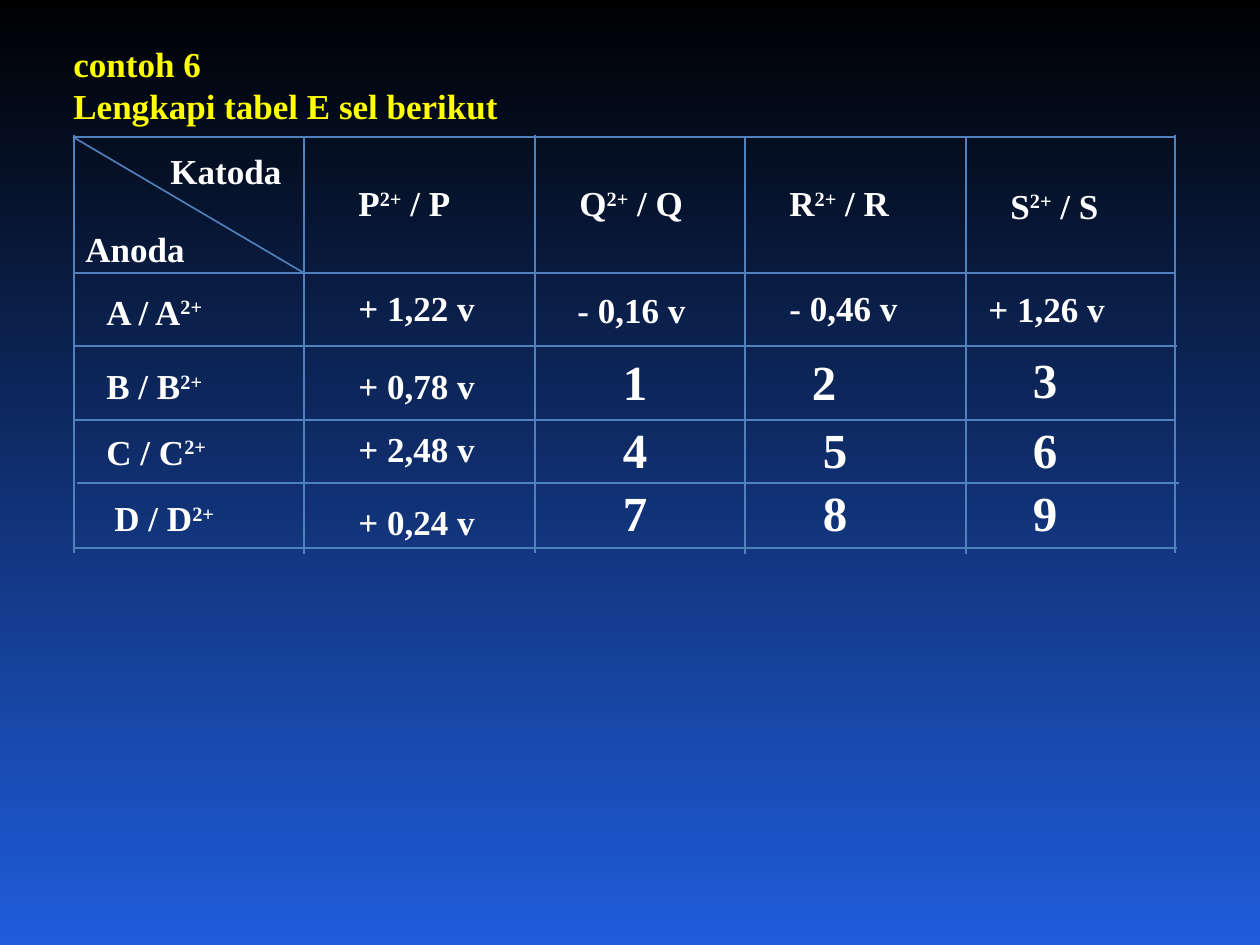
"""Build the cell potential exercise slide."""
from lxml import etree
from pptx import Presentation
from pptx import util as u
from pptx.dml.color import RGBColor
from pptx.enum import shapes, text
from pptx.oxml.ns import qn

SCALE = 914400 / 126
COLORS = {"top": "000000", "bottom": "1F5DDC", "title": "FFFF00",
          "text": "FFFFFF", "grid": "4F81BD"}
FONT = "Times New Roman"
BOX_HEIGHT = 48

TITLE = ["contoh 6", "Lengkapi tabel E sel berikut"]
CORNER = [("Anoda", 73, 224), ("Katoda", 158, 147)]
ANODES = [("A / A2+", 94, 287), ("B / B2+", 94, 362),
          ("C / C2+", 94, 427), ("D / D2+", 102, 494)]
CATHODES = [("P2+ / P", 346, 179), ("Q2+ / Q", 567, 179),
            ("R2+ / R", 777, 179), ("S2+ / S", 998, 181)]
VOLTAGES = [("+ 1,22 v", 346, 284), ("- 0,16 v", 565, 286),
            ("- 0,46 v", 777, 284), ("+ 1,26 v", 976, 285),
            ("+ 0,78 v", 346, 362), ("+ 2,48 v", 346, 425),
            ("+ 0,24 v", 346, 498)]
BLANKS = [("1", 588, 357), ("2", 777, 357), ("3", 998, 355),
          ("4", 588, 425), ("5", 788, 425), ("6", 998, 425),
          ("7", 588, 488), ("8", 788, 488), ("9", 998, 488)]
GROUPS = [(CORNER, 136), (ANODES, 150), (CATHODES, 158), (VOLTAGES, 168)]

ROW_LINES = [(73, 137), (73, 273), (75, 346), (73, 420), (77, 483), (75, 548)]
COLUMN_LINES = [(74, 135), (304, 136), (535, 135),
                (745, 136), (966, 136), (1175, 135)]
ROW_LENGTH, COLUMN_LENGTH = 1102, 418


def px(value):
    return u.Emu(round(value * SCALE))


def color(name):
    return RGBColor.from_string(COLORS[name])


def add_line(page, x1, y1, x2, y2):
    line = page.shapes.add_connector(
        shapes.MSO_CONNECTOR.STRAIGHT, px(x1), px(y1), px(x2), px(y2))
    line.line.color.rgb = color("grid")
    line.line.width = u.Pt(0.94)
    etree.SubElement(line._element.spPr, qn("a:effectLst"))


def add_text(page, lines, left, top, width, height=BOX_HEIGHT,
             size=20, fill="text", align=text.PP_ALIGN.LEFT):
    box = page.shapes.add_textbox(px(left), px(top), px(width), px(height))
    frame = box.text_frame
    frame.word_wrap = True
    frame.vertical_anchor = text.MSO_ANCHOR.MIDDLE
    frame.text = "\n".join(lines)
    for para in frame.paragraphs:
        para.alignment = align
        before, charge, after = para.text.partition("2+")
        para.text = before
        for part in filter(None, (charge, after)):
            para.add_run().text = part
        for span in para.runs:
            span.font.name = FONT
            span.font.size = u.Pt(size)
            span.font.bold = True
            span.font.color.rgb = color(fill)
            if span.text == "2+":
                span.font._element.set("baseline", "30000")


def main():
    deck = Presentation()
    deck.slide_width, deck.slide_height = px(1260), px(945)
    page = deck.slides.add_slide(deck.slide_layouts[6])

    backdrop = page.background.fill
    backdrop.gradient()
    backdrop.gradient_angle = 270
    for stop, name in zip(backdrop.gradient_stops, ("top", "bottom")):
        stop.color.rgb = color(name)

    add_text(page, TITLE, 61, 32, 884, 105, fill="title")
    for x, y in ROW_LINES:
        add_line(page, x, y, x + ROW_LENGTH, y)
    for x, y in COLUMN_LINES:
        add_line(page, x, y, x, y + COLUMN_LENGTH)
    add_line(page, *ROW_LINES[0], COLUMN_LINES[1][0], ROW_LINES[1][1])

    for cells, width in GROUPS:
        for label, left, top in cells:
            add_text(page, [label], left, top, width)
    for label, left, top in BLANKS:
        add_text(page, [label], left, top, 94, size=28,
                 align=text.PP_ALIGN.CENTER)

    deck.save("out.pptx")


if __name__ == "__main__":
    main()
